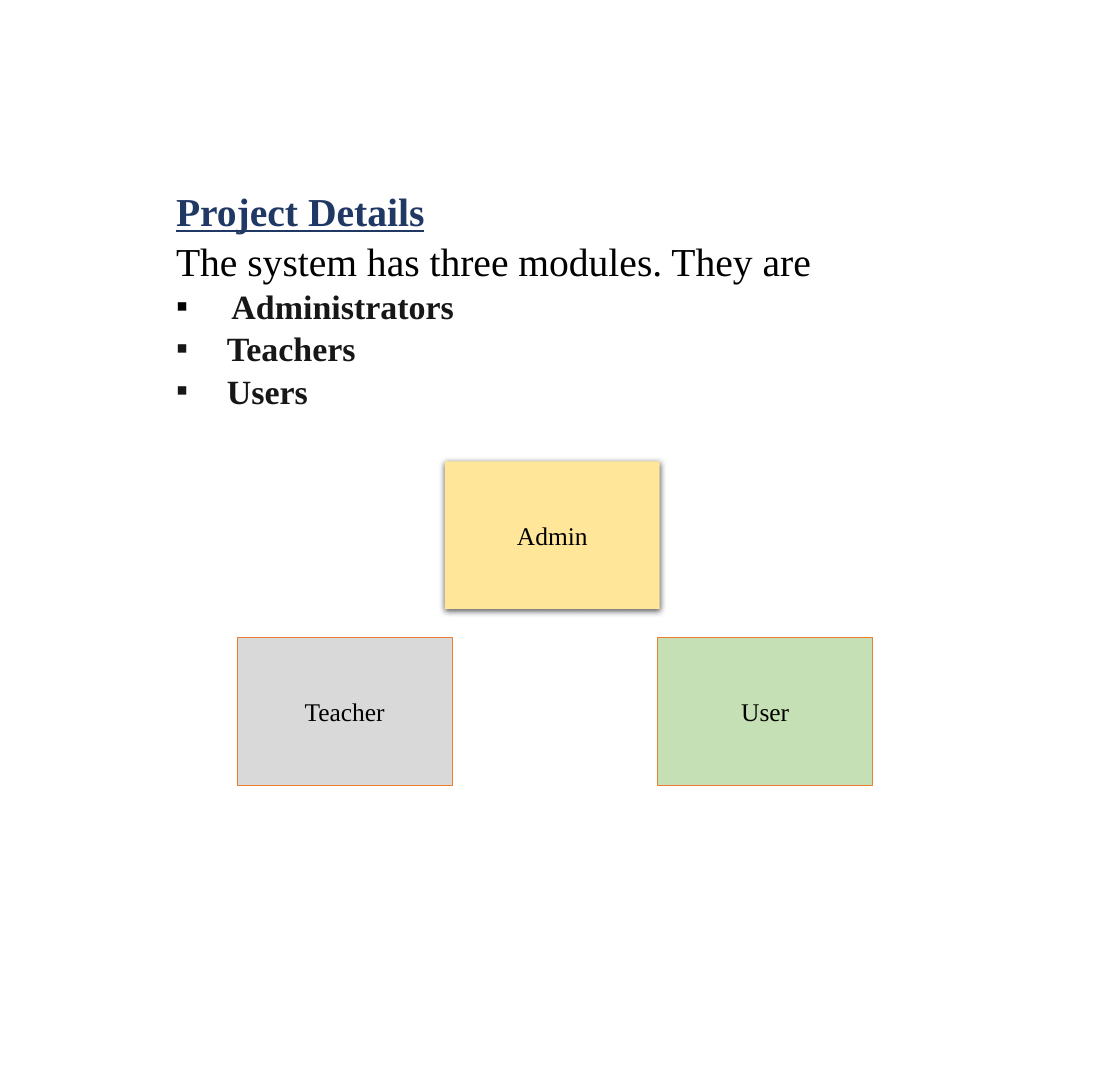
"""Build the project details slide with its three module boxes."""
import pptx
import pptx.dml.color
import pptx.enum.shapes
import pptx.enum.text
import pptx.oxml
import pptx.oxml.ns
import pptx.util

Pt = pptx.util.Pt
ALIGN = pptx.enum.text.PP_ALIGN
FONT = "Times New Roman"
BLACK, NAVY, CHARCOAL, ORANGE = "000000", "203864", "181717", "ED7D31"

HEADING = "Project Details"
INTRODUCTION = "The system has three modules. They are"
MODULES = [("Administrators", 39.2, BLACK), ("Teachers", 36, CHARCOAL), ("Users", 36, CHARCOAL)]
BOXES = [
    ("Admin", 314.6, 326.2, "FFE699", None),
    ("User", 465.1, 450.7, "C5E0B4", ORANGE),
    ("Teacher", 167.8, 450.7, "D9D9D9", ORANGE),
]
BOX_WIDTH, BOX_HEIGHT = 152, 104.4
NAMESPACE = pptx.oxml.ns.nsdecls("a")


def color(value):
    return pptx.dml.color.RGBColor.from_string(value)


def write(paragraph, text, size, text_color, alignment, bold=False, underline=False):
    paragraph.text = text
    paragraph.alignment = alignment
    font = paragraph.runs[0].font
    font.name, font.size = FONT, Pt(size)
    font.bold, font.underline = bold, underline
    font.color.rgb = color(text_color)


def add_bullet(paragraph, indent, bullet_color):
    properties = paragraph._p.get_or_add_pPr()
    properties.set("marL", str(Pt(indent)))
    properties.set("indent", str(-Pt(indent)))
    for element in (
        f'<a:buClr {NAMESPACE}><a:srgbClr val="{bullet_color}"/></a:buClr>',
        f'<a:buFont {NAMESPACE} typeface="{FONT}"/>',
        f'<a:buChar {NAMESPACE} char="▪"/>',
    ):
        properties.append(pptx.oxml.parse_xml(element))


def add_soft_shadow(shape):
    effects = shape._element.spPr.find(pptx.oxml.ns.qn("a:effectLst"))
    effects.append(pptx.oxml.parse_xml(
        f'<a:outerShdw {NAMESPACE} blurRad="{Pt(4.5)}" dist="{Pt(1.5)}" dir="5400000" '
        f'algn="ctr" rotWithShape="0"><a:srgbClr val="{BLACK}"><a:alpha val="63000"/>'
        '</a:srgbClr></a:outerShdw>'))


def add_details(slide):
    text_box = slide.shapes.add_textbox(Pt(117.4), Pt(127.4), Pt(701.3), Pt(283.7))
    frame = text_box.text_frame
    frame.word_wrap = True
    write(frame.paragraphs[0], HEADING, 28, NAVY, ALIGN.LEFT, True, True)
    write(frame.add_paragraph(), INTRODUCTION, 28, BLACK, ALIGN.JUSTIFY)
    for name, indent, bullet_color in MODULES:
        paragraph = frame.add_paragraph()
        write(paragraph, name, 24, CHARCOAL, ALIGN.JUSTIFY, True)
        paragraph.line_spacing = 1.04
        add_bullet(paragraph, indent, bullet_color)
    for paragraph in frame.paragraphs[:2]:
        paragraph.line_spacing = 1.04


def add_box(slide, name, left, top, fill, line):
    shape = slide.shapes.add_shape(
        pptx.enum.shapes.MSO_SHAPE.RECTANGLE, Pt(left), Pt(top), Pt(BOX_WIDTH), Pt(BOX_HEIGHT))
    shape.fill.solid()
    shape.fill.fore_color.rgb = color(fill)
    shape.shadow.inherit = False
    if line:
        shape.line.color.rgb = color(line)
        shape.line.width = Pt(0.5)
    else:
        shape.line.fill.background()
        add_soft_shadow(shape)
    shape.text_frame.vertical_anchor = pptx.enum.text.MSO_ANCHOR.MIDDLE
    write(shape.text_frame.paragraphs[0], name, 18, BLACK, ALIGN.CENTER)


def main():
    presentation = pptx.Presentation()
    presentation.slide_width, presentation.slide_height = Pt(792), Pt(756)
    slide = presentation.slides.add_slide(presentation.slide_layouts[6])
    add_details(slide)
    for box in BOXES:
        add_box(slide, *box)
    presentation.save("out.pptx")


if __name__ == "__main__":
    main()
